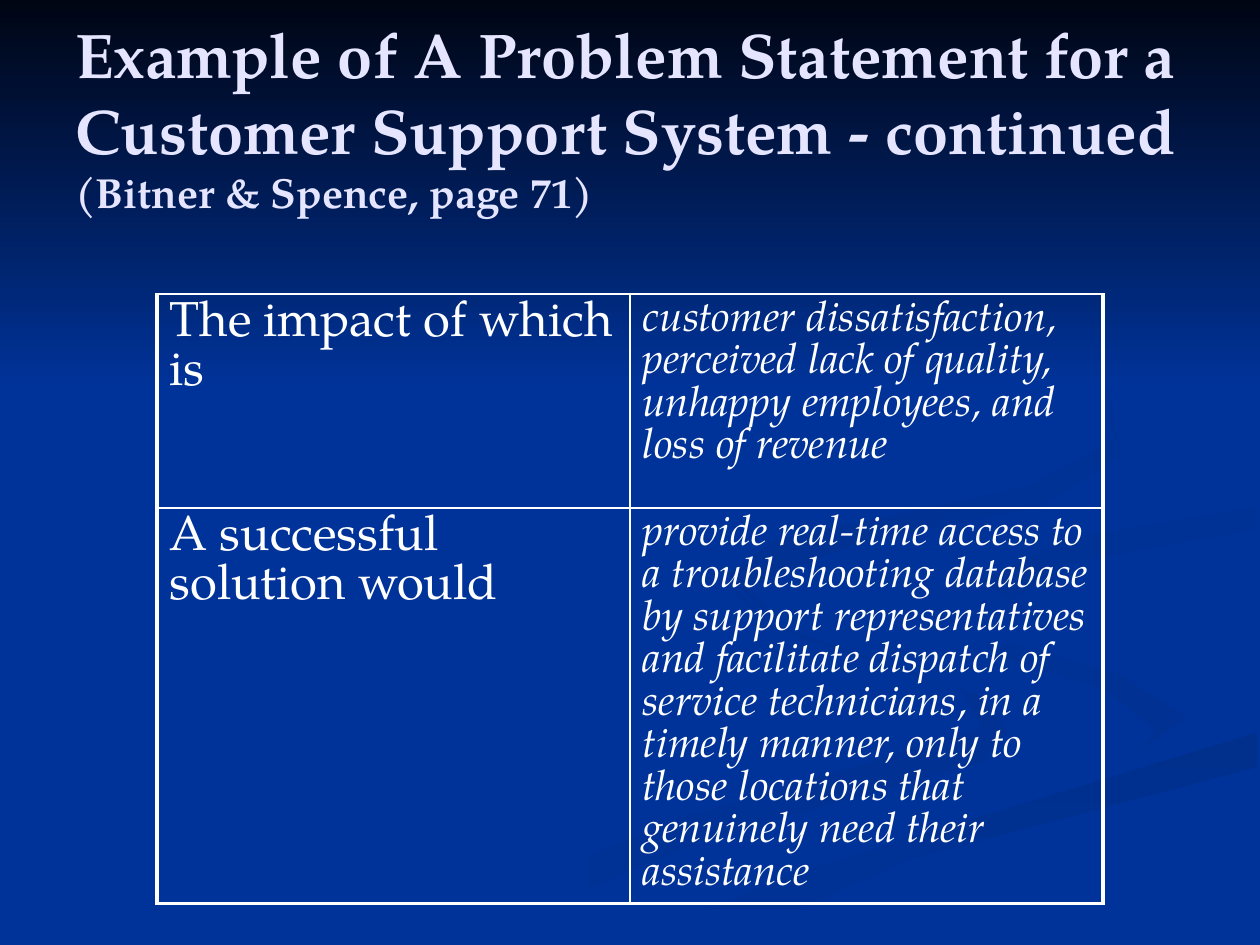
"""Build the problem statement slide with its swirl background and table."""
from lxml import etree
from pptx import Presentation, util as u
from pptx.dml.color import RGBColor
from pptx.enum import shapes, text
from pptx.oxml import ns

SCALE = 914400 / 126
FONT = "TeX Gyre Pagella"
COLORS = {
    "background": "003399", "night": "000514", "title": "E5E5FF", "white": "FFFFFF",
    "shade1": "003193", "shade2": "002F8C", "shade3": "003091", "shade4": "002F8E",
}
TITLE = [
    ("Example of A Problem Statement for a Customer Support System - continued ", 36),
    ("(Bitner & Spence, page 71)", 24),
]
ROWS = [
    ("The impact of which is",
     "customer dissatisfaction, perceived lack of quality, unhappy employees, "
     "and loss of revenue"),
    ("A successful solution would",
     "provide real-time access to a troubleshooting database by support representatives "
     "and facilitate dispatch of service technicians, in a timely manner, only to those "
     "locations that genuinely need their assistance"),
]
ROW_HEIGHTS = (214, 365)
COLUMN_WIDTH = 473
COLUMN_STYLES = [(28, 28.3, False), (24, 24.3, True)]
SWIRLS = [
    ("background", "shade1", 0, [
        (984, 697), (774, 625), (725, 578), (758, 624), (960, 689), (983, 729),
        (679, 818), (378, 944), (455, 944), (711, 838), (983, 762), (1008, 732)]),
    ("background", "shade1", 45, [
        (1188, 718), (1119, 674), (939, 617), (912, 585), (965, 645), (1109, 692),
        (1157, 732), (1126, 762), (1186, 732)]),
    ("shade2", "background", 90, [
        (634, 944), (719, 944), (910, 859), (1257, 767), (1257, 732), (1004, 804),
        (794, 873)]),
    ("background", "background", 0, [
        (913, 585), (956, 627), (1140, 680), (1188, 718), (1124, 762), (887, 825),
        (601, 944), (794, 873), (1259, 732), (1259, 678), (1068, 634), (985, 580),
        (1052, 542), (1259, 507), (1259, 488), (970, 538)]),
    ("shade3", "background", 45, [
        (984, 580), (1041, 625), (1014, 600), (1062, 564), (1257, 529), (1257, 507),
        (1070, 538)]),
    ("shade4", "background", 45, [
        (861, 542), (1040, 507), (1120, 456), (1109, 387), (1062, 347), (960, 294),
        (1096, 377), (1116, 438), (1031, 486), (775, 541), (728, 574), (784, 630),
        (748, 586)]),
]


def px(*lengths):
    return [u.Emu(round(length * SCALE)) for length in lengths]


def color(name):
    return RGBColor.from_string(COLORS[name])


def paint(shape, start, end, angle):
    shape.shadow.inherit = False
    shape.line.fill.background()
    if start == end:
        shape.fill.solid()
        shape.fill.fore_color.rgb = color(start)
        return
    shape.fill.gradient()
    shape.fill.gradient_angle = (360 - angle) % 360
    for stop, name in zip(shape.fill.gradient_stops, (start, end)):
        stop.color.rgb = color(name)


def set_borders(cell, widths):
    properties = cell._tc.get_or_add_tcPr()
    for index, (side, width) in enumerate(widths.items()):
        line = etree.Element(ns.qn(f"a:ln{side}"), w=str(u.Pt(width)))
        fill = etree.SubElement(line, ns.qn("a:solidFill"))
        etree.SubElement(fill, ns.qn("a:srgbClr"), val=COLORS["white"])
        properties.insert(index, line)


presentation = Presentation()
presentation.slide_width, presentation.slide_height = px(1260, 945)
slide = presentation.slides.add_slide(presentation.slide_layouts[6])
slide.background.fill.solid()
slide.background.fill.fore_color.rgb = color("background")

for start, end, angle, points in SWIRLS:
    builder = slide.shapes.build_freeform(*points[0], scale=SCALE)
    builder.add_line_segments(points[1:], close=True)
    paint(builder.convert_to_shape(), start, end, angle)
sky = slide.shapes.add_shape(shapes.MSO_SHAPE.RECTANGLE, *px(0, 0, 1260, 388))
paint(sky, "night", "background", 90)

title = slide.shapes.add_textbox(*px(63, 38, 1134, 157))
title.text_frame.word_wrap = True
title.text_frame.vertical_anchor = text.MSO_ANCHOR.MIDDLE
paragraph = title.text_frame.paragraphs[0]
paragraph.font.name = FONT
paragraph.font.bold = True
paragraph.font.color.rgb = color("title")
for words, size in TITLE:
    run = paragraph.add_run()
    run.text = words
    run.font.size = u.Pt(size)

frame = slide.shapes.add_table(
    len(ROWS), 2, *px(157, 294, 2 * COLUMN_WIDTH, sum(ROW_HEIGHTS)))
table = frame.table
table.first_row = table.horz_banding = False
for column in table.columns:
    column.width = px(COLUMN_WIDTH)[0]
for row, (height, statements) in enumerate(zip(ROW_HEIGHTS, ROWS)):
    table.rows[row].height = px(height)[0]
    for column, (words, style) in enumerate(zip(statements, COLUMN_STYLES)):
        size, spacing, italic = style
        cell = table.cell(row, column)
        cell.text = words
        cell.fill.background()
        set_borders(cell, {
            "L": 1 if column else 2.25, "R": 2.25 if column else 1,
            "T": 1, "B": 2.25 if row else 1})
        paragraph = cell.text_frame.paragraphs[0]
        paragraph.line_spacing = u.Pt(spacing)
        paragraph.font.name = FONT
        paragraph.font.size = u.Pt(size)
        paragraph.font.italic = italic
        paragraph.font.color.rgb = color("white")

presentation.save("out.pptx")
